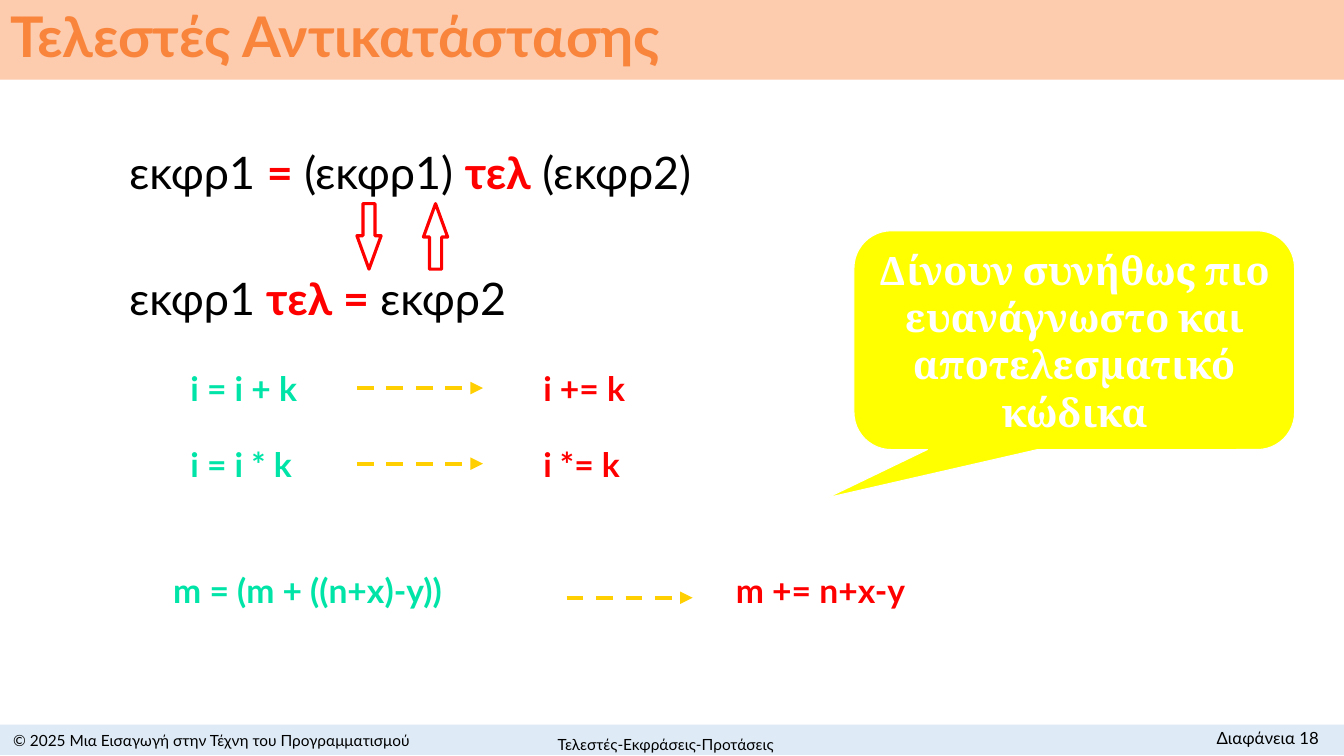
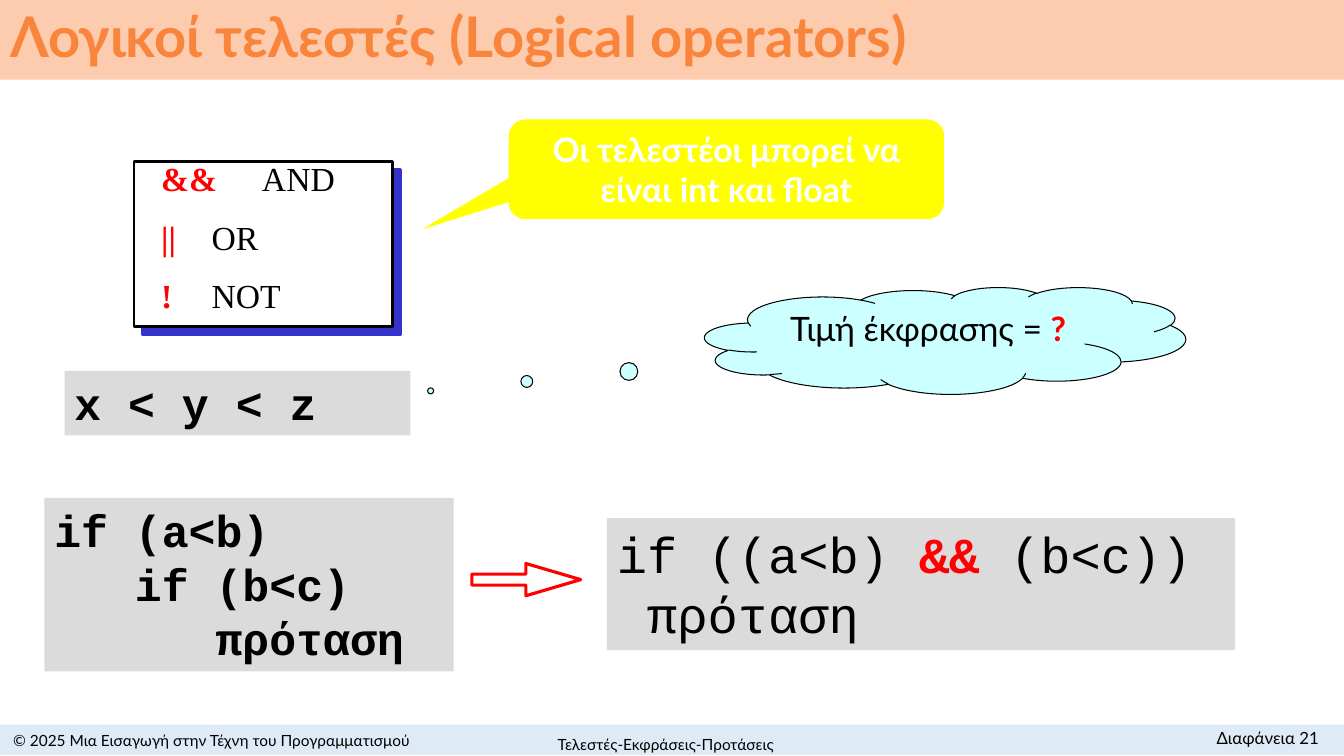
from lxml.etree import SubElement
from pptx import Presentation
from pptx.dml.color import RGBColor
from pptx.enum.dml import MSO_LINE
from pptx.enum.shapes import MSO_CONNECTOR, MSO_SHAPE
from pptx.enum.text import MSO_ANCHOR, MSO_AUTO_SIZE, PP_ALIGN
from pptx.oxml.ns import qn
from pptx.util import Pt

PX = 9144
WIDTH, HEIGHT = 1333, 750
BLACK, WHITE, RED = "000000", "FFFFFF", "FF0000"
YELLOW, GREEN, GOLD, GRAY = "FFFF00", "00E4A8", "FFCF01", "DBDBDB"
TITLE_BAND, TITLE_TEXT, FOOTER_BAND = "FDCBAD", "F9853D", "DEEBF7"
SHADOW, CLOUD = "3333CC", "CCFFFF"
SANS, SERIF, TIMES, MONO = "Lato", "Cambria", "Times New Roman", "Courier New"
TITLE_AND_BODY, TITLE_ONLY = 1, 5


def px(n):
    """Turn px into EMU."""
    return int(n * PX)


def color(value):
    """Turn a hex string into a colour."""
    return RGBColor.from_string(value)


def place(sp, x, y, w, h):
    """Move and size a shape."""
    sp.left, sp.top, sp.width, sp.height = px(x), px(y), px(w), px(h)


def write(sp, lines, size, font=SANS, align=PP_ALIGN.LEFT, anchor=MSO_ANCHOR.TOP, gap=0):
    """Fill a shape with lines, each a list of (text, colour, bold) runs."""
    tf = sp.text_frame
    tf.word_wrap = True
    tf.auto_size = MSO_AUTO_SIZE.NONE
    tf.vertical_anchor = anchor
    for i, line in enumerate(lines):
        p = tf.add_paragraph() if i else tf.paragraphs[0]
        p.alignment = align
        p.space_before = Pt(gap if i else 0)
        for text, rgb, bold in line:
            r = p.add_run()
            r.text = text
            r.font.name, r.font.size, r.font.bold = font, Pt(size), bold
            r.font.color.rgb = color(rgb)


def add_text(slide, box, lines, size, **style):
    """Add a text box."""
    sp = slide.shapes.add_textbox(*map(px, box))
    write(sp, lines, size, **style)
    return sp


def add_box(slide, kind, box, fill, line=None, width=0.75, adjust=()):
    """Add a filled preset shape."""
    sp = slide.shapes.add_shape(kind, *map(px, box))
    sp.shadow.inherit = False
    sp.fill.solid()
    sp.fill.fore_color.rgb = color(fill)
    if line:
        sp.line.color.rgb = color(line)
        sp.line.width = Pt(width)
    else:
        sp.line.fill.background()
    for i, value in enumerate(adjust):
        sp.adjustments[i] = value
    return sp


def add_callout(slide, box, adjust, text, size, font):
    """Add a yellow speech bubble."""
    sp = add_box(slide, MSO_SHAPE.ROUNDED_RECTANGULAR_CALLOUT, box, YELLOW, WHITE, adjust=adjust)
    write(sp, [[(text, WHITE, True)]], size, font=font, align=PP_ALIGN.CENTER)


def add_block_arrow(slide, kind, box, adjust):
    """Add a white block arrow with a red outline."""
    add_box(slide, kind, box, WHITE, RED, 2.25, adjust)


def add_code(slide, box, lines, size):
    """Add a grey code panel."""
    sp = add_box(slide, MSO_SHAPE.RECTANGLE, box, GRAY)
    write(sp, lines, size, font=MONO)


def add_dashed_arrow(slide, x, y, length):
    """Add a horizontal dashed arrow."""
    cx = slide.shapes.add_connector(MSO_CONNECTOR.STRAIGHT, px(x), px(y), px(x + length), px(y))
    cx.line.color.rgb = color(GOLD)
    cx.line.width = Pt(3)
    cx.line.dash_style = MSO_LINE.DASH
    SubElement(cx.line._get_or_add_ln(), qn("a:tailEnd"), type="triangle")
    SubElement(cx._element.spPr, qn("a:effectLst"))


def add_hard_shadow(sp, rgb):
    """Give a shape a solid shadow to the lower right."""
    effects = sp._element.spPr.find(qn("a:effectLst"))
    shadow = SubElement(effects, qn("a:outerShdw"), dist=str(Pt(8.5)), dir="2700000",
                        algn="ctr", rotWithShape="0")
    SubElement(shadow, qn("a:srgbClr"), val=rgb)


def add_slide(prs, layout, title, number):
    """Add a slide with its title band and footer."""
    slide = prs.slides.add_slide(prs.slide_layouts[layout])
    sp = slide.shapes.title
    place(sp, 0, 0, WIDTH, 79)
    sp.fill.solid()
    sp.fill.fore_color.rgb = color(TITLE_BAND)
    write(sp, [[(title, TITLE_TEXT, True)]], 40, anchor=MSO_ANCHOR.MIDDLE)
    sp.text_frame.paragraphs[0].line_spacing = 0.9
    add_box(slide, MSO_SHAPE.RECTANGLE, (0, 719, WIDTH, 30), FOOTER_BAND)
    middle = {"align": PP_ALIGN.CENTER, "anchor": MSO_ANCHOR.MIDDLE}
    footers = [
        ((0, 722, 420, 26), "© 2025 Μια Εισαγωγή στην Τέχνη του Προγραμματισμού", 11, middle),
        ((407, 723, 507, 30), "Τελεστές-Εκφράσεις-Προτάσεις", 11, middle),
        ((1112, 717, 206, 30), f"Διαφάνεια {number}", 12, {"align": PP_ALIGN.RIGHT}),
    ]
    for box, text, size, style in footers:
        add_text(slide, box, [[(text, BLACK, False)]], size, **style)
    return slide


def add_assignment_slide(prs):
    """Build the slide on assignment operators."""
    slide = add_slide(prs, TITLE_AND_BODY, "Τελεστές Αντικατάστασης", 18)
    body = slide.placeholders[1]
    place(body, 118, 139, 1133, 450)
    for p in (body.text_frame.paragraphs[0], body.text_frame.add_paragraph()):
        pPr = p._p.get_or_add_pPr()
        pPr.set("marL", str(px(38)))
        pPr.set("indent", str(px(-38)))
        SubElement(pPr, qn("a:buNone"))
    forms = [
        [("εκφρ1 ", BLACK, False), ("=", RED, True), (" (εκφρ1) ", BLACK, False),
         ("τελ", RED, True), (" (εκφρ2)", BLACK, False)],
        [("εκφρ1", BLACK, False), (" τελ = ", RED, True), ("εκφρ2", BLACK, False)],
    ]
    fill_body(body, forms)
    for kind, x in ((MSO_SHAPE.DOWN_ARROW, 354), (MSO_SHAPE.UP_ARROW, 420)):
        add_block_arrow(slide, kind, (x, 202, 24, 65), (0.5, 1.38))
    add_callout(slide, (847, 229, 437, 217), (-0.56, 0.72, 0.17),
                "Δίνουν συνήθως πιο ευανάγνωστο και αποτελεσματικό κώδικα", 28, SERIF)
    examples = [
        ("i = i + k", 179, 354, "i += k", 529, 360, 25),
        ("i = i * k", 179, 354, "i *= k", 529, 435, 25),
        ("m = (m + ((n+x)-y))", 162, 562, "m += n+x-y", 720, 560, 33),
    ]
    for long, x, arrow_x, short, short_x, y, drop in examples:
        add_text(slide, (x, y, 370, 50), [[(long, GREEN, True)]], 24)
        add_dashed_arrow(slide, arrow_x, y + drop, 125)
        add_text(slide, (short_x, y, 228, 50), [[(short, RED, True)]], 24)


def fill_body(body, lines):
    """Write each line into a prepared paragraph of the body."""
    tf = body.text_frame
    tf.auto_size = MSO_AUTO_SIZE.NONE
    for i, (p, line) in enumerate(zip(tf.paragraphs, lines)):
        p.space_before = Pt(51 if i else 0)
        for text, rgb, bold in line:
            r = p.add_run()
            r.text = text
            r.font.name, r.font.size, r.font.bold = SANS, Pt(32), bold
            r.font.color.rgb = color(rgb)


def add_logical_slide(prs):
    """Build the slide on logical operators."""
    slide = add_slide(prs, TITLE_ONLY, "Λογικοί τελεστές (Logical operators)", 21)
    panel = add_box(slide, MSO_SHAPE.RECTANGLE, (133, 160, 256, 164), WHITE, BLACK, 2)
    add_hard_shadow(panel, SHADOW)
    operators = [("&&", "AND"), ("||", "OR"), ("!", "NOT")]
    add_text(slide, (150, 152, 742, 172),
             [[(sign, RED, True), (f"\t{name}", BLACK, False)] for sign, name in operators],
             24, font=TIMES, gap=13)
    add_block_arrow(slide, MSO_SHAPE.RIGHT_ARROW, (468, 559, 108, 32), (0.34, 1.7))
    add_callout(slide, (504, 118, 433, 100), (-0.71, 0.62, 0.17),
                "Οι τελεστέοι μπορεί να είναι int και float", 24, SANS)
    cloud = add_box(slide, MSO_SHAPE.CLOUD_CALLOUT, (699, 285, 477, 106), CLOUD, BLACK,
                    adjust=(-1.07, 0.47))
    write(cloud, [[("Τιμή έκφρασης = ", BLACK, False), ("?", RED, True)]], 24,
          align=PP_ALIGN.CENTER)
    add_code(slide, (64, 368, 343, 64), [[("x < y < z", BLACK, True)]], 32)
    nested = ["if (a<b)", "   if (b<c)", "      πρόταση"]
    add_code(slide, (44, 494, 406, 172), [[(text, BLACK, True)] for text in nested], 32)
    joined = [
        [("if ((a<b) ", BLACK, False), ("&&", RED, True), (" (b<c))", BLACK, False)],
        [(" πρόταση", BLACK, False)],
    ]
    add_code(slide, (602, 514, 623, 131), joined, 36)


def main():
    """Build and save the presentation."""
    prs = Presentation()
    prs.slide_width, prs.slide_height = px(WIDTH), px(HEIGHT)
    add_assignment_slide(prs)
    add_logical_slide(prs)
    prs.save("out.pptx")


if __name__ == "__main__":
    main()
